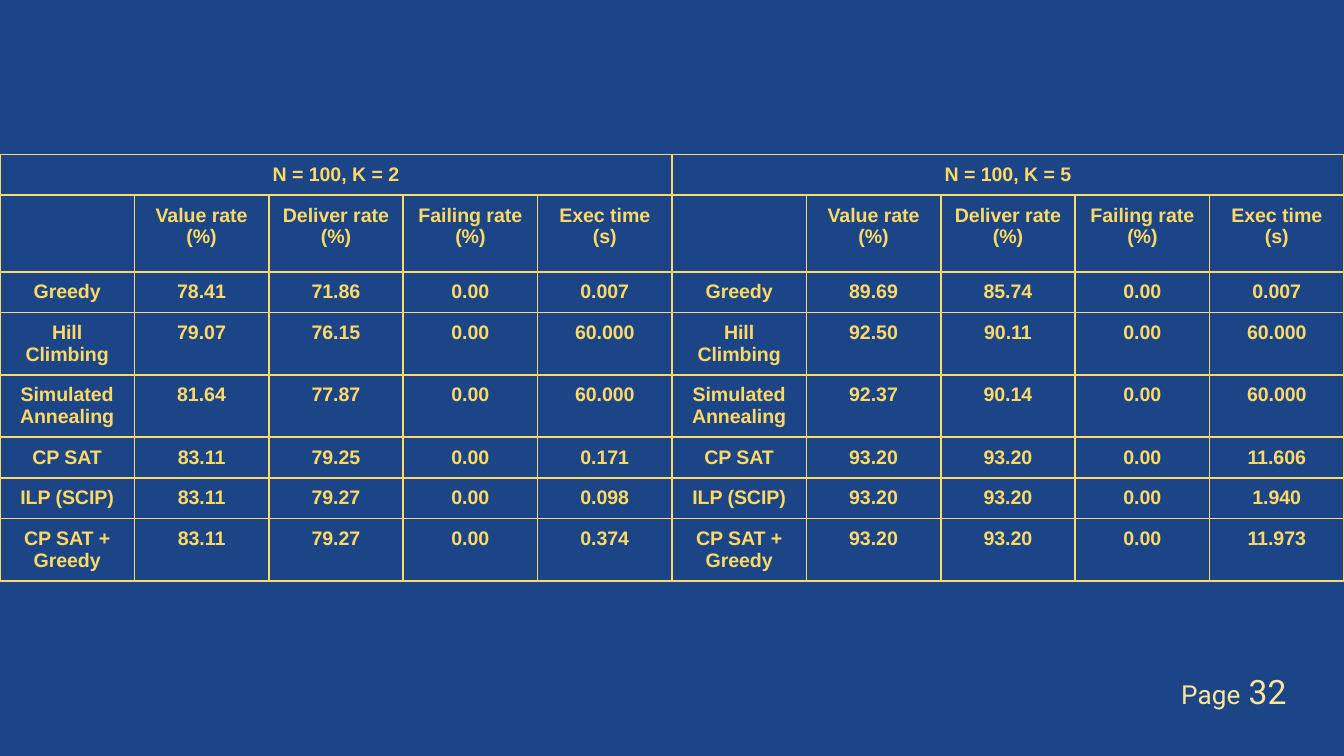
import pptx
import pptx.dml.color
import pptx.enum.text
import pptx.oxml
import pptx.oxml.ns
import pptx.util

Pt = pptx.util.Pt

BLUE, GOLD, CREAM = "1C4587", "FFD966", "FFE599"
SLIDE_W, SLIDE_H = 720, 405
TABLE_TOP, INSET = 82.8, 5
ROW_HEIGHTS = [21.8, 41, 21.8, 33.4, 33.4, 21.8, 21.8, 33.4]

METHODS = ["Greedy", "Hill Climbing", "Simulated Annealing", "CP SAT", "ILP (SCIP)", "CP SAT + Greedy"]
MEASURES = ["Deliver rate (%)", "Failing rate (%)", "Exec time (s)"]
GROUPS = [
    ("N = 100, K = 2", ["", "Value rate\n(%)"] + MEASURES, [
        ("78.41", "71.86", "0.00", "0.007"),
        ("79.07", "76.15", "0.00", "60.000"),
        ("81.64", "77.87", "0.00", "60.000"),
        ("83.11", "79.25", "0.00", "0.171"),
        ("83.11", "79.27", "0.00", "0.098"),
        ("83.11", "79.27", "0.00", "0.374"),
    ]),
    ("N = 100, K = 5", ["", "Value rate (%)"] + MEASURES, [
        ("89.69", "85.74", "0.00", "0.007"),
        ("92.50", "90.11", "0.00", "60.000"),
        ("92.37", "90.14", "0.00", "60.000"),
        ("93.20", "93.20", "0.00", "11.606"),
        ("93.20", "93.20", "0.00", "1.940"),
        ("93.20", "93.20", "0.00", "11.973"),
    ]),
]


def rgb(color):
    return pptx.dml.color.RGBColor.from_string(color)


def style_run(r, font, size, color, bold=False):
    r.font.name = font
    r.font.size = Pt(size)
    r.font.bold = bold
    r.font.color.rgb = rgb(color)


def add_borders(cell, color, width):
    tcPr = cell._tc.get_or_add_tcPr()
    for side in ("lnL", "lnR", "lnT", "lnB"):
        tcPr.append(pptx.oxml.parse_xml(
            f'<a:{side} {pptx.oxml.ns.nsdecls("a")} w="{Pt(width)}">'
            f'<a:solidFill><a:srgbClr val="{color}"/></a:solidFill></a:{side}>'))


def format_cell(cell):
    add_borders(cell, GOLD, 1)
    cell.fill.background()
    cell.margin_left = cell.margin_right = Pt(INSET)
    cell.margin_top = cell.margin_bottom = Pt(INSET)
    for p in cell.text_frame.paragraphs:
        p.alignment = pptx.enum.text.PP_ALIGN.CENTER
        p.font.size = Pt(10.5)
        for r in p.runs:
            style_run(r, "Arial", 10.5, GOLD, True)


def add_results_table(s):
    span = len(GROUPS[0][1])
    cols = span * len(GROUPS)
    table = s.shapes.add_table(len(ROW_HEIGHTS), cols, 0, Pt(TABLE_TOP),
                               Pt(SLIDE_W), Pt(sum(ROW_HEIGHTS))).table
    table.first_row = table.horz_banding = False
    for row, height in zip(table.rows, ROW_HEIGHTS):
        row.height = Pt(height)
    for col in table.columns:
        col.width = Pt(SLIDE_W / cols)
    for g, (heading, labels, results) in enumerate(GROUPS):
        left = g * span
        table.cell(0, left).merge(table.cell(0, left + span - 1))
        table.cell(0, left).text_frame.text = heading
        body = [[method, *values] for method, values in zip(METHODS, results)]
        for i, texts in enumerate([labels] + body, 1):
            for j, text in enumerate(texts):
                table.cell(i, left + j).text_frame.text = text
    for cell in table.iter_cells():
        format_cell(cell)


def add_page_number(s):
    tf = s.shapes.add_textbox(Pt(625.7), Pt(355.7), Pt(78.5), Pt(29.5)).text_frame
    tf.word_wrap = True
    for text, size in (("Page", 14), (" 32", 18)):
        r = tf.paragraphs[0].add_run()
        r.text = text
        style_run(r, "Roboto", size, CREAM)


def main():
    prs = pptx.Presentation()
    prs.slide_width, prs.slide_height = Pt(SLIDE_W), Pt(SLIDE_H)
    s = prs.slides.add_slide(prs.slide_layouts[6])
    s.background.fill.solid()
    s.background.fill.fore_color.rgb = rgb(BLUE)
    add_results_table(s)
    add_page_number(s)
    prs.save("out.pptx")


if __name__ == "__main__":
    main()
